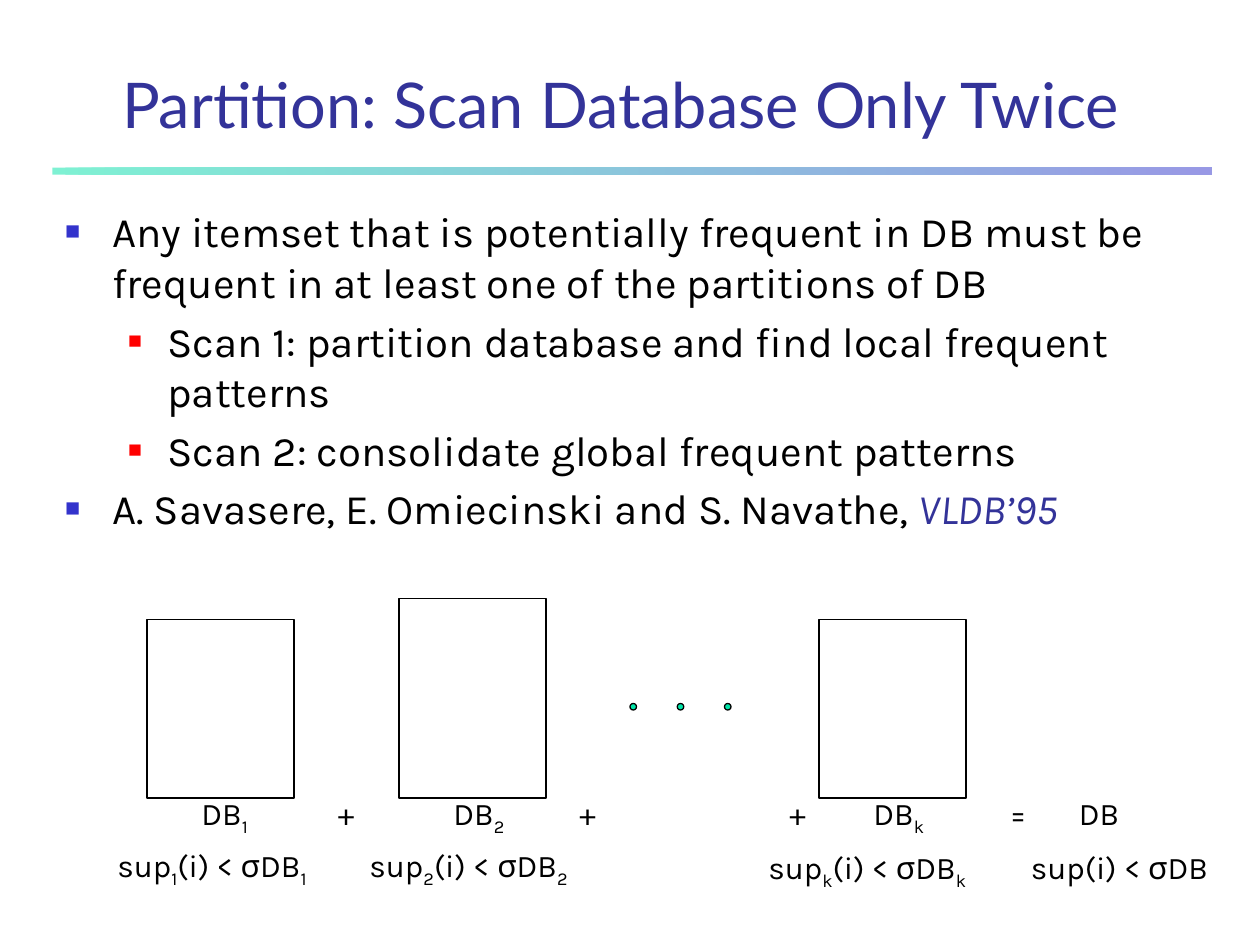
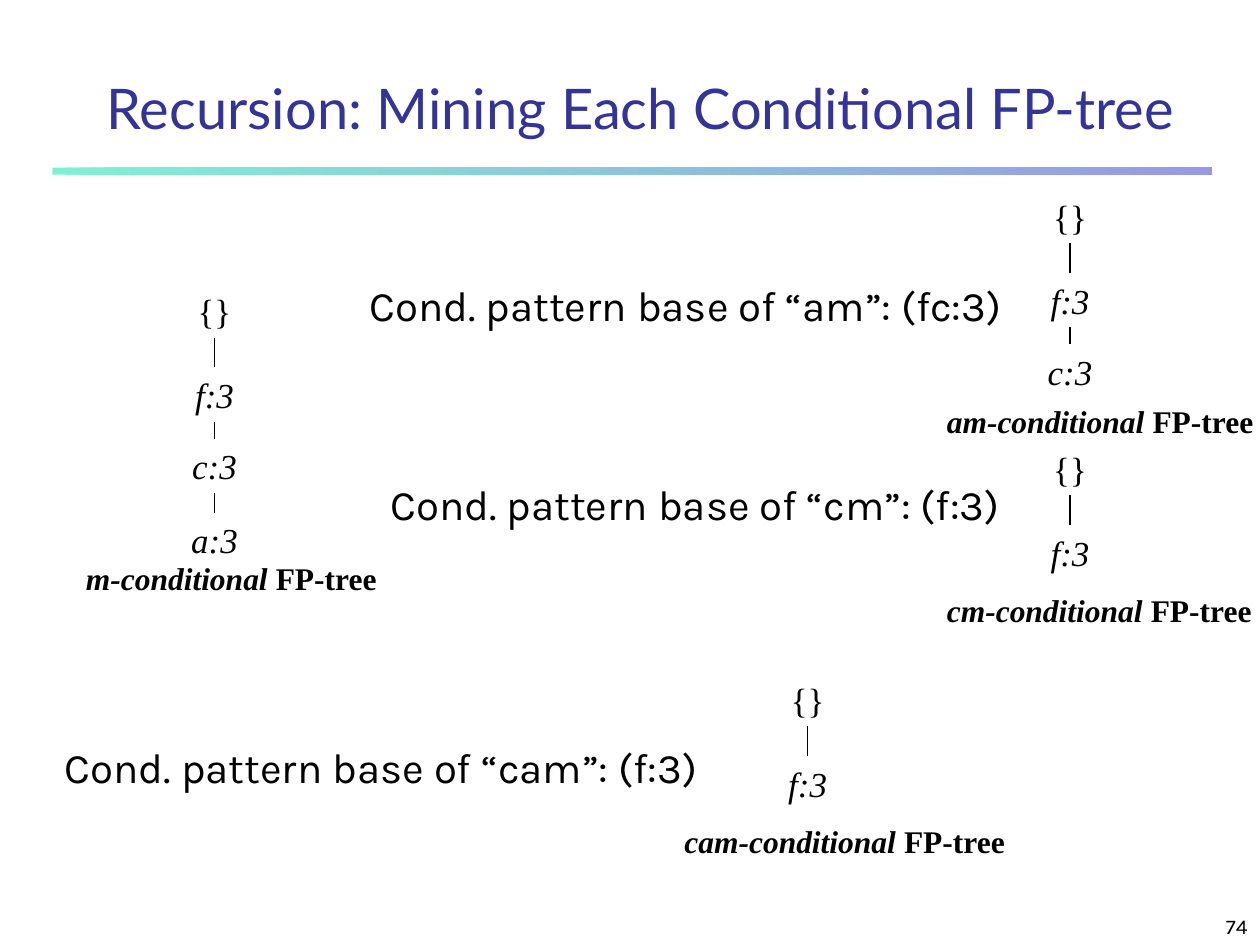
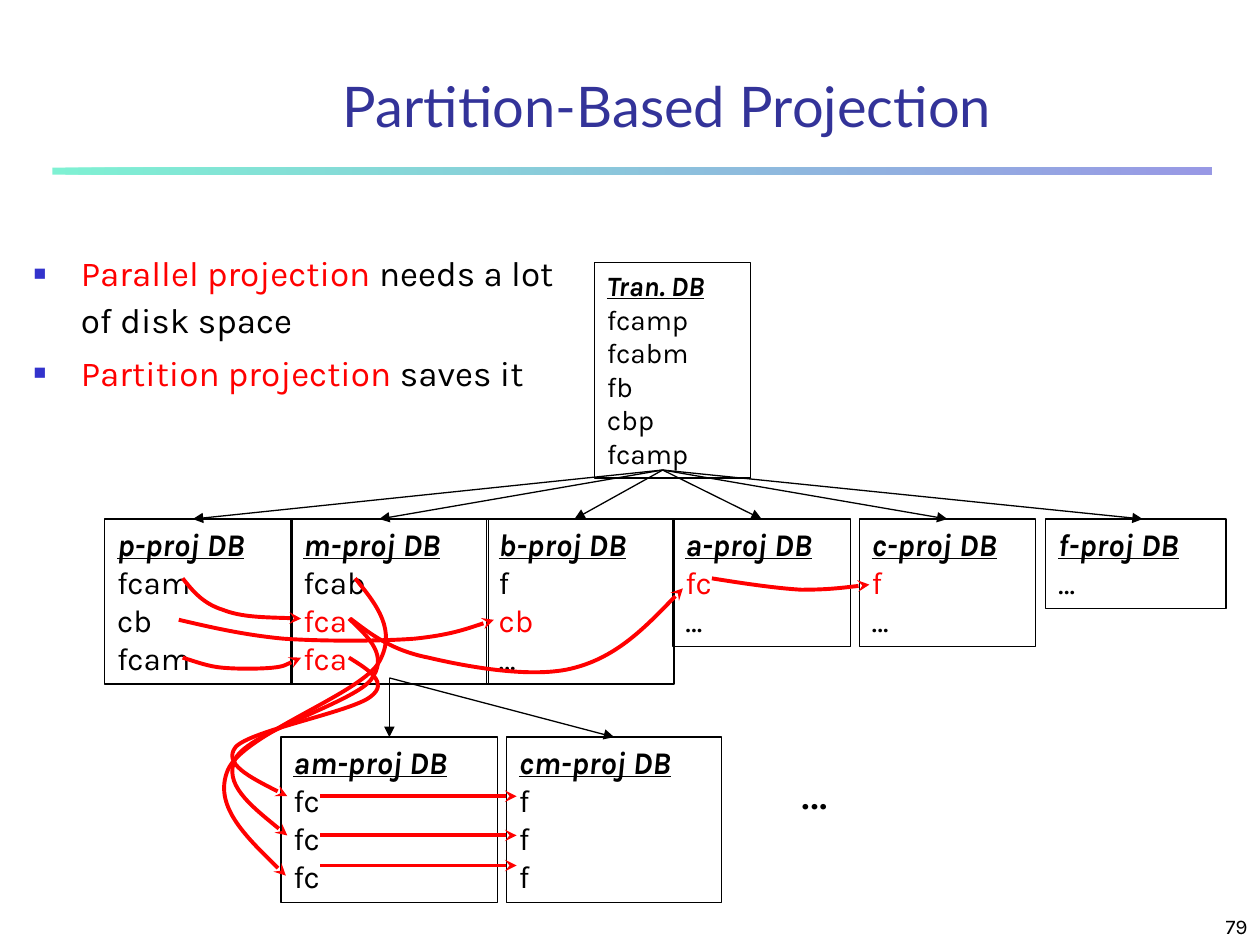
from dataclasses import dataclass
from typing import NamedTuple

from lxml import etree
from pptx import Presentation
from pptx.dml.color import RGBColor
from pptx.enum.shapes import MSO_CONNECTOR, MSO_SHAPE
from pptx.enum.text import MSO_ANCHOR, MSO_AUTO_SIZE, PP_ALIGN
from pptx.oxml.ns import qn
from pptx.util import Pt

COLORS = {"black": "000000", "title": "333399", "blue": "3333CC", "red": "FF0000", "green": "00E4A8"}
BODY_FONT, TITLE_FONT, TREE_FONT = "Karla", "Lato", "Times New Roman"
LEFT, CENTER, RIGHT = PP_ALIGN.LEFT, PP_ALIGN.CENTER, PP_ALIGN.RIGHT
TOP, MIDDLE, BOTTOM = MSO_ANCHOR.TOP, MSO_ANCHOR.MIDDLE, MSO_ANCHOR.BOTTOM
RECTANGLE, OVAL = MSO_SHAPE.RECTANGLE, MSO_SHAPE.OVAL
STRAIGHT = MSO_CONNECTOR.STRAIGHT
NO_FIT, GROW = MSO_AUTO_SIZE.NONE, MSO_AUTO_SIZE.SHAPE_TO_FIT_TEXT
TOP_SIDE, BOTTOM_SIDE = 0, 2

LAYOUT_BULLETS, LAYOUT_TITLE = 1, 5
NODE_TOPS = (0, 48, 88.6, 131)
NODE_WIDTH, NODE_HEIGHT = 41, 31


class Span(NamedTuple):
    text: str
    color: str | None = None
    italic: bool | None = None
    subscript: bool = False


class Bullet(NamedTuple):
    left: float
    hang: float
    color: str
    percent: int


BULLETS = (Bullet(27, 27, "blue", 60), Bullet(58.5, 22.5, "red", 55))


@dataclass(frozen=True)
class Partition:
    index: str
    left: float
    top: float
    support_left: float
    support_top: float = 480


@dataclass(frozen=True)
class Tree:
    center: float
    top: float
    nodes: tuple[str, ...]
    name: str
    label_left: float
    label_top: float
    label_width: float


@dataclass(frozen=True)
class Projection:
    """A listed database; arrow_x is where its arrow lands, None for the top middle."""
    name: str
    left: float
    width: float
    rows: tuple
    arrow_x: float | None = None


def rgb(name):
    return RGBColor.from_string(COLORS[name])


def write(frame, lines, *, size, font=BODY_FONT, color="black", bold=False, italic=False,
          align=LEFT, anchor=TOP, wrap=True, fit=NO_FIT, heading=False):
    """Fill a text frame; a line is a string or a list of spans."""
    frame.word_wrap, frame.auto_size, frame.vertical_anchor = wrap, fit, anchor
    for number, line in enumerate(lines):
        para = frame.paragraphs[0] if number == 0 else frame.add_paragraph()
        para.alignment = align
        is_heading = heading and number == 0
        for span in [Span(line)] if isinstance(line, str) else line:
            run = para.add_run()
            run.text = span.text
            style = run.font
            style.name, style.size = font, Pt(size)
            style.color.rgb = rgb(span.color or color)
            style.bold = bold or is_heading
            style.italic = is_heading or (italic if span.italic is None else span.italic)
            style.underline = is_heading
            if span.subscript:
                run._r.get_or_add_rPr().set("baseline", "-25000")


def add_text(page, line, left, top, width, height, **style):
    box = page.shapes.add_textbox(Pt(left), Pt(top), Pt(width), Pt(height))
    write(box.text_frame, [line], **style)
    return box


def place(shape, left, top, width, height):
    shape.left, shape.top, shape.width, shape.height = Pt(left), Pt(top), Pt(width), Pt(height)


def add_outline(page, kind, left, top, width, height, fill=None):
    shape = page.shapes.add_shape(kind, Pt(left), Pt(top), Pt(width), Pt(height))
    shape.shadow.inherit = False
    if fill:
        shape.fill.solid()
        shape.fill.fore_color.rgb = rgb(fill)
    else:
        shape.fill.background()
    shape.line.color.rgb = rgb("black")
    shape.line.width = Pt(0.75)
    return shape


def style_line(line, color, width, arrow=None):
    line.color.rgb = rgb(color)
    line.width = Pt(width)
    if arrow:
        etree.SubElement(line._get_or_add_ln(), qn("a:tailEnd"), type=arrow)


def add_line(page, start, end, color="black", width=0.75, arrow=None):
    connector = page.shapes.add_connector(STRAIGHT, *(Pt(value) for value in (*start, *end)))
    style_line(connector.line, color, width, arrow)
    etree.SubElement(connector._element.spPr, qn("a:effectLst"))
    return connector


def add_curve(page, points):
    """Draw a red arrow through cubic curves: a start, then triples of points."""
    start, *others = [(Pt(x), Pt(y)) for x, y in points]
    builder = page.shapes.build_freeform(*start, scale=1.0)
    builder.add_line_segments(others, close=False)
    shape = builder.convert_to_shape()
    segments = list(shape._element.iter(qn("a:lnTo")))
    for first in range(0, len(segments), 3):
        curve = etree.Element(qn("a:cubicBezTo"))
        segments[first].addprevious(curve)
        for segment in segments[first:first + 3]:
            curve.append(segment[0])
            segment.getparent().remove(segment)
    shape.fill.background()
    shape.shadow.inherit = False
    style_line(shape.line, "red", 2.25, "stealth")


def add_bullets(page, area, items, *, size, spacing=1.0):
    """Fill the body placeholder with (level, line) items."""
    body = page.placeholders[1]
    place(body, *area)
    write(body.text_frame, [line for _, line in items], size=size)
    for number, (para, (level, _)) in enumerate(zip(body.text_frame.paragraphs, items)):
        bullet = BULLETS[level]
        para.level = level
        para.line_spacing = spacing
        para.space_before = Pt(0.2 * size if number else 0)
        properties = para._p.get_or_add_pPr()
        properties.set("marL", str(Pt(bullet.left)))
        properties.set("indent", str(-Pt(bullet.hang)))
        color = etree.SubElement(properties, qn("a:buClr"))
        etree.SubElement(color, qn("a:srgbClr"), val=COLORS[bullet.color])
        etree.SubElement(properties, qn("a:buSzPct"), val=str(bullet.percent * 1000))
        etree.SubElement(properties, qn("a:buChar"), char="■")


def add_page(deck, layout, title, area, *, size, anchor=BOTTOM, number=None):
    page = deck.slides.add_slide(deck.slide_layouts[layout])
    band = add_outline(page, RECTANGLE, 30, 95.8, 662.4, 4)
    band.line.fill.background()
    band.fill.gradient()
    band.fill.gradient_angle = 0
    for stop, color in zip(band.fill.gradient_stops, ("green", "blue")):
        stop.color.rgb = rgb(color)
    for color in band._element.spPr.iter(qn("a:srgbClr")):
        etree.SubElement(color, qn("a:alpha"), val="50000")
    place(page.shapes.title, *area)
    write(page.shapes.title.text_frame, [title], size=size, font=TITLE_FONT,
          color="title", align=CENTER, anchor=anchor)
    if number:
        add_text(page, number, 570, 510, 150, 30, size=12, align=RIGHT, anchor=BOTTOM)
    return page


def build_partition_page(deck):
    page = add_page(deck, LAYOUT_BULLETS, "Partition: Scan Database Only Twice",
                    (48, 36, 613.4, 48), size=36)
    add_bullets(page, (30, 114, 666, 216), [
        (0, "Any itemset that is potentially frequent in DB must be frequent in at least one "
            "of the partitions of DB"),
        (1, "Scan 1: partition database and find local frequent patterns"),
        (1, "Scan 2: consolidate global frequent patterns"),
        (0, [Span("A. Savasere, E. Omiecinski and S. Navathe, "),
             Span("VLDB’95", "title", True)]),
    ], size=24)

    partitions = (Partition("1", 84, 354, 60), Partition("2", 228, 342, 204),
                  Partition("k", 468, 354, 432, 481))
    for part in partitions:
        index = Span(part.index, subscript=True)
        add_outline(page, RECTANGLE, part.left, part.top, 84, 456 - part.top)
        add_text(page, [Span("DB"), index], part.left + 24, 450, 48, 29, size=18)
        add_text(page, [Span("sup"), index, Span("(i) < σDB"), index],
                 part.support_left, part.support_top, 132, 29, size=18)
    for column in range(3):
        add_outline(page, OVAL, 360 + 27 * column, 402, 3.75, 3.75, fill="green")
    for left in (186, 324, 444):
        add_text(page, "+", left, 450, 25, 29, size=18)
    total = add_text(page, "=\tDB", 570, 450, 108, 29, size=18)
    tabs = etree.SubElement(total.text_frame.paragraphs[0]._p.get_or_add_pPr(), qn("a:tabLst"))
    etree.SubElement(tabs, qn("a:tab"), pos=str(Pt(39.5)), algn="l")
    add_text(page, "sup(i) < σDB", 582, 481, 132, 29, size=18)


def add_tree(page, tree):
    parent = None
    for text, offset in zip(tree.nodes, NODE_TOPS):
        node = add_text(page, text, tree.center - NODE_WIDTH / 2, tree.top + offset, NODE_WIDTH,
                        NODE_HEIGHT, size=20, font=TREE_FONT, italic=text != "{}",
                        align=CENTER, wrap=False)
        if parent:
            branch = add_line(page, (tree.center, tree.top), (tree.center, tree.top + offset),
                              width=1)
            branch.begin_connect(parent, BOTTOM_SIDE)
            branch.end_connect(node, TOP_SIDE)
        parent = node
    add_text(page, [Span(f"{tree.name}-conditional ", italic=True), Span("FP-tree")],
             tree.label_left, tree.label_top, tree.label_width, 29,
             size=18, font=TREE_FONT, bold=True, wrap=False, fit=GROW)


def build_recursion_page(deck):
    page = add_page(deck, LAYOUT_TITLE, "Recursion: Mining Each Conditional FP-tree",
                    (30, 30, 672.5, 54), size=32, number="74")
    for tree in (
        Tree(122.6, 162, ("{}", "f:3", "c:3", "a:3"), "m", 42, 316, 180.7),
        Tree(611.5, 108, ("{}", "f:3", "c:3"), "am", 534, 226, 190),
        Tree(611.5, 252, ("{}", "f:3"), "cm", 534, 334, 188.6),
        Tree(461.5, 384, ("{}", "f:3"), "cam", 384, 466, 198),
    ):
        add_tree(page, tree)
    for pattern, base, left, top, width in (("am", "fc:3", 204, 156, 378.7),
                                            ("cm", "f:3", 216, 270, 366.5),
                                            ("cam", "f:3", 30, 420, 378.7)):
        add_text(page, f"Cond. pattern base of “{pattern}”: ({base})", left, top, width, 36,
                 size=24, wrap=False, fit=GROW)


def add_database(page, name, rows, left, top, width, size=18):
    lines = [name, *rows]
    box = add_outline(page, RECTANGLE, left, top, width, 8 + 1.2 * size * len(lines))
    write(box.text_frame, lines, size=size, heading=True)


def add_projections(page, hub, top, projections):
    """Draw a row of databases, each reached by an arrow from the hub."""
    for item in projections:
        add_database(page, f"{item.name}-proj DB", item.rows, item.left, top, item.width)
        box = page.shapes[-1]
        arrow_x = item.left + item.width / 2 if item.arrow_x is None else item.arrow_x
        arrow = add_line(page, hub, (arrow_x, top), arrow="triangle")
        if item.arrow_x is None:
            arrow.end_connect(box, TOP_SIDE)


def build_projection_page(deck):
    page = add_page(deck, LAYOUT_BULLETS, "Partition-Based Projection",
                    (72, 36, 618.5, 48), size=32, anchor=MIDDLE, number="79")
    add_bullets(page, (12, 138, 324, 108), [
        (0, [Span("Parallel projection ", "red"), Span("needs a lot of disk space")]),
        (0, [Span("Partition projection ", "red"), Span("saves it")]),
    ], size=20, spacing=1.1)

    def red(text):
        return [Span(text, "red")]

    add_database(page, "Tran. DB", ("fcamp", "fcabm", "fb", "cbp", "fcamp"),
                 339.8, 150, 89.3, size=16)
    add_projections(page, (378.7, 268.6), 296.6, (
        Projection("p", 59.8, 107.3, ("fcam", "cb", "fcam"), 110.2),
        Projection("m", 166.3, 113, ("fcab", red("fca"), red("fca")), 216.7),
        Projection("b", 277.9, 107.3, ("f", red("cb"), "…"), 328.3),
        Projection("a", 384.5, 101.5, (red("fc"), "…")),
        Projection("c", 491, 100.8, (red("f"), "…")),
        Projection("f", 597.6, 103, ("…",), 653),
    ))
    add_projections(page, (222.5, 387.4), 421.2, (
        Projection("am", 160.6, 123.8, ("fc",) * 3),
        Projection("cm", 289.4, 123.1, ("f",) * 3),
    ))
    add_text(page, "…", 450.7, 431.3, 37.4, 41, size=28, wrap=False, fit=GROW)

    for points in (
        ((104.4, 330.5), (110.2, 337.7), (115.9, 344.9), (127.4, 348.5),
         (138.2, 352.8), (155.5, 352.8), (172.1, 353.5)),
        ((200.2, 353.5), (211.7, 362.2), (223.2, 371.5), (244.8, 375.8), (266.4, 380.9),
         (304.6, 388.1), (328.3, 381.6), (352.8, 375.1), (371.5, 355.7), (390.2, 336.2)),
        ((406.8, 330.5), (424.8, 333.4), (443.5, 336.2), (457.9, 337),
         (473, 337), (484.6, 335.5), (496.8, 334.1)),
        ((104.4, 375.8), (111.6, 378), (118.8, 380.9), (127.4, 381.6), (135.4, 382.3),
         (147.6, 382.3), (155.5, 381.6), (162.7, 380.9), (167, 378), (172.1, 375.8)),
        ((199.4, 375.8), (211, 383), (222.5, 390.2), (211.7, 398.2), (200.9, 406.8),
         (142.6, 417.6), (134.6, 427), (127.4, 436.3), (145.4, 445.7), (164.2, 455)),
        ((199.4, 353.5), (211, 364.3), (222.5, 375.1), (211.7, 388.8), (200.9, 401.8),
         (142.6, 418.3), (134.6, 433.4), (127.4, 447.8), (145.4, 462.2), (164.2, 477.4)),
        ((203, 330.5), (215.3, 345.6), (227.5, 360.7), (216, 379.4), (203.8, 397.4),
         (139, 419.8), (130.3, 439.9), (121.7, 460.1), (142.6, 480.2), (163.4, 500.4)),
        ((102.2, 354.2), (121, 358.6), (139.7, 362.9), (162, 365), (184.3, 366.5),
         (216.7, 366.5), (236.9, 365), (257, 362.9), (269.3, 358.6), (282.2, 354.2)),
    ):
        add_curve(page, points)
    for y in (455, 477.4, 494.6):
        add_line(page, (182.9, y), (295.2, y), "red", 2.25, "stealth")


def main():
    deck = Presentation()
    deck.slide_width, deck.slide_height = Pt(720), Pt(540)
    build_partition_page(deck)
    build_recursion_page(deck)
    build_projection_page(deck)
    deck.save("out.pptx")


if __name__ == "__main__":
    main()
